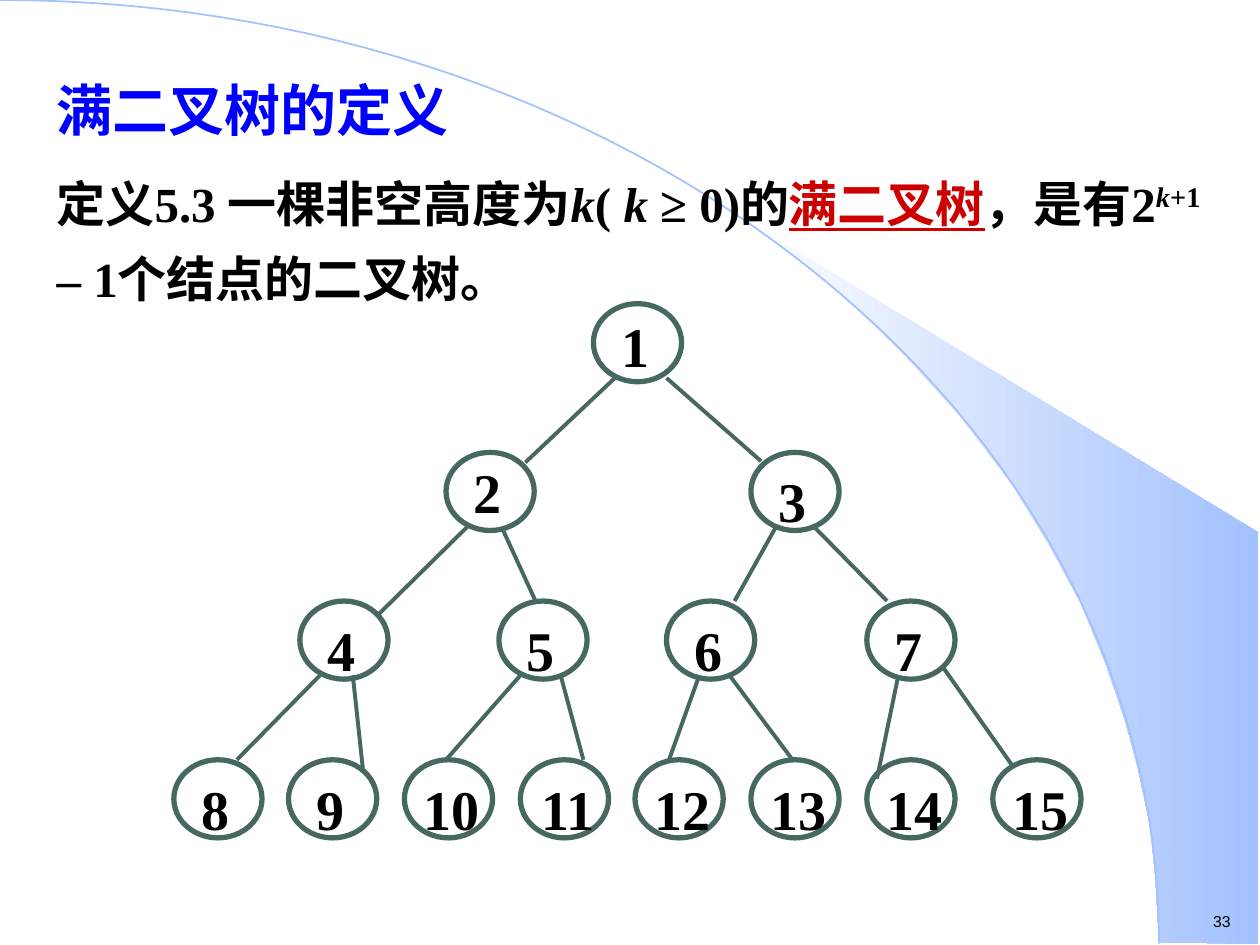
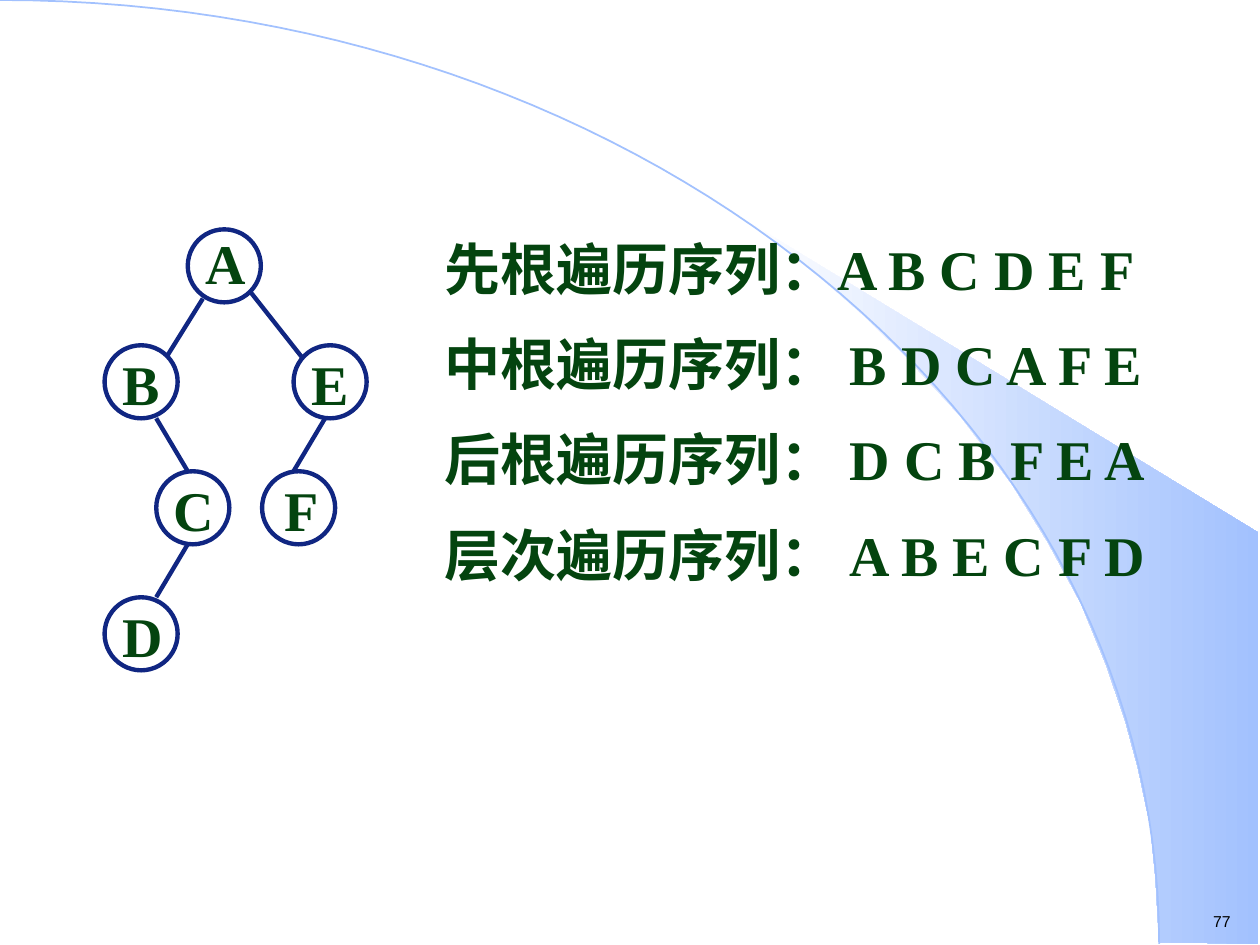
from lxml.etree import SubElement
from pptx import Presentation
from pptx.dml.color import RGBColor
from pptx.enum.shapes import MSO_CONNECTOR, MSO_SHAPE
from pptx.enum.text import MSO_ANCHOR, MSO_AUTO_SIZE, PP_ALIGN
from pptx.oxml.ns import qn
from pptx.util import Inches, Pt

WHITE = RGBColor(0xFF, 0xFF, 0xFF)
BLACK = RGBColor(0x00, 0x00, 0x00)
SKY = RGBColor(0xA2, 0xC1, 0xFE)
BLUE = RGBColor(0x00, 0x00, 0xFF)
RED = RGBColor(0xCC, 0x00, 0x00)
SLATE = RGBColor(0x46, 0x68, 0x61)
NAVY = RGBColor(0x10, 0x26, 0x82)
GREEN = RGBColor(0x04, 0x44, 0x0F)
SERIF, SANS = "Times New Roman", "Arial"

WEDGE = [(9.2, 7.48), (9.99, 7.49), (9.99, 4.23), (5.89, 1.73), (6.24, 1.99),
         (6.53, 2.22), (6.85, 2.5), (7.16, 2.8), (7.62, 3.3), (8.03, 3.84),
         (8.32, 4.31), (8.58, 4.79), (8.78, 5.28), (8.93, 5.72), (9.03, 6.09),
         (9.13, 6.56), (9.17, 6.96)]
ARC = [(0, 0), (5.08, 0), (9.2, 3.35), (9.2, 7.49)]
ARC_STEPS = 60

# Top of each level and left of each node, from the top left of the tree
FULL_TREE = [
    (0, [3.33]),
    (1.18, [2.16, 4.58]),
    (2.36, [1, 2.58, 3.91, 5.5]),
    (3.62, [0, 0.91, 1.83, 2.75, 3.66, 4.58, 5.5, 6.5]),
]
FULL_TREE_EDGES = [
    (3.5, 0.59, 2.79, 1.26), (3.91, 0.59, 4.66, 1.25),
    (2.33, 1.77, 1.61, 2.48), (2.6, 1.77, 2.87, 2.36),
    (4.78, 1.77, 4.45, 2.36), (5.08, 1.77, 5.66, 2.36),
    (1.16, 2.95, 0.5, 3.62), (1.42, 2.95, 1.5, 3.69),
    (2.75, 2.95, 2.16, 3.62), (3.07, 2.95, 3.25, 3.62),
    (4.17, 2.95, 3.93, 3.62), (4.41, 2.95, 4.91, 3.62),
    (5.75, 2.95, 5.58, 3.77), (6.1, 2.88, 6.65, 3.66),
]
LABEL_RISE = {1: 0.05, 2: 0.07}

# Node: left, top, label shift right, label shift down
LETTER_TREE = {
    "A": (0.66, 0, 0.04, -0.12), "B": (0, 0.92, 0.04, -0.08),
    "E": (1.5, 0.92, 0.04, -0.08), "C": (0.41, 1.92, 0.04, -0.08),
    "F": (1.25, 1.92, 0.08, -0.08), "D": (0, 2.92, 0.04, -0.08),
}
LETTER_TREE_EDGES = [
    (0.78, 0.55, 0.5, 1), (1.16, 0.5, 1.57, 1.02), (0.41, 1.5, 0.66, 1.92),
    (1.75, 1.5, 1.5, 1.92), (0.66, 2.5, 0.41, 2.92),
]
TRAVERSALS = [("先根遍历序列：", "A B C D E F"), ("中根遍历序列： ", "B D C A F E"),
              ("后根遍历序列： ", "D C B F E A"), ("层次遍历序列： ", "A B E C F D")]


def set_attrs(obj, values):
    for name, value in values.items():
        setattr(obj, name, value)


def add_run(p, text, size, color, **extra):
    r = p.add_run()
    r.text = text
    r.font.color.rgb = color
    set_attrs(r.font, {"size": Pt(size), "name": SERIF, "bold": True, **extra})
    return r


def add_text_box(slide, x, y, w, h, wrap=True):
    tf = slide.shapes.add_textbox(Inches(x), Inches(y), Inches(w), Inches(h)).text_frame
    tf.word_wrap = wrap
    return tf


def add_edges(slide, x, y, edges, color, width):
    for x1, y1, x2, y2 in edges:
        line = slide.shapes.add_connector(
            MSO_CONNECTOR.STRAIGHT, Inches(x + x1), Inches(y + y1), Inches(x + x2), Inches(y + y2))
        line.line.color.rgb = color
        line.line.width = Pt(width)
        SubElement(line._element.spPr, qn("a:effectLst"))


def add_node(slide, kind, x, y, w, h, color, width):
    s = slide.shapes.add_shape(kind, Inches(x), Inches(y), Inches(w), Inches(h))
    s.shadow.inherit = False
    s.fill.background()
    s.line.color.rgb = color
    s.line.width = Pt(width)


def add_label(slide, x, y, w, text, color, align):
    p = add_text_box(slide, x, y, w, 0.69).paragraphs[0]
    set_attrs(p, {"alignment": align, "line_spacing": Pt(43)})
    add_run(p, text, 32, color)


def add_outline(slide, points, close):
    builder = slide.shapes.build_freeform(
        Inches(points[0][0]), Inches(points[0][1]), scale=1.0)
    builder.add_line_segments([(Inches(x), Inches(y)) for x, y in points[1:]], close=close)
    s = builder.convert_to_shape()
    s.shadow.inherit = False
    return s


def bezier_points(controls, steps):
    weights = (1, 3, 3, 1)
    return [tuple(sum(n * (1 - t) ** (3 - i) * t ** i * c[axis]
                      for i, (n, c) in enumerate(zip(weights, controls)))
                  for axis in (0, 1))
            for t in (step / steps for step in range(steps + 1))]


def add_backdrop(slide, number):
    """Draw the shaded wedge, the arc and the page number shared by all slides."""
    wedge = add_outline(slide, WEDGE, True)
    wedge.line.fill.background()
    wedge.fill.gradient()
    wedge.fill.gradient_angle = 0
    for stop, color, position in zip(wedge.fill.gradient_stops, (WHITE, SKY), (0, 1)):
        stop.color.rgb = color
        stop.position = position

    arc = add_outline(slide, bezier_points(ARC, ARC_STEPS), False)
    arc.fill.background()
    arc.line.color.rgb = SKY
    arc.line.width = Pt(1)

    tf = add_text_box(slide, 9.53, 7.19, 0.35, 0.25, wrap=False)
    add_run(tf.paragraphs[0], str(number), 9, BLACK, name=SANS, bold=False)


def add_body_paragraph(tf, first, spacing, before):
    p = tf.paragraphs[0] if first else tf.add_paragraph()
    pPr = p._p.get_or_add_pPr()
    pPr.set("marL", "0")
    pPr.set("indent", "0")
    SubElement(pPr, qn("a:buNone"))
    set_attrs(p, {"line_spacing": Pt(spacing), "space_before": Pt(before)})
    return p


def fill_definition(body, x, y, w, h):
    set_attrs(body, {"left": Inches(x), "top": Inches(y),
                     "width": Inches(w), "height": Inches(h)})
    tf = body.text_frame
    set_attrs(tf, {"auto_size": MSO_AUTO_SIZE.NONE, "vertical_anchor": MSO_ANCHOR.TOP,
                   "word_wrap": True})
    add_run(add_body_paragraph(tf, True, 52, 0), "满二叉树的定义", 32, BLUE)

    p = add_body_paragraph(tf, False, 43, 8)
    italic = {"italic": True}
    for text, color, extra in [
            ("定义5.3 一棵非空高度为", BLACK, {}), ("k", BLACK, italic),
            ("( ", BLACK, {}), ("k ", BLACK, italic), ("≥ 0)的", BLACK, {}),
            ("满二叉树", RED, {"underline": True}), ("，是有2", BLACK, {})]:
        add_run(p, text, 28, color, **extra)
    for text, extra in [("k", italic), ("+1 ", {})]:
        r = add_run(p, text, 28, BLACK, **extra)
        r.font._element.set("baseline", "30000")
    add_run(p, "– 1个结点的二叉树。", 28, BLACK)


def add_full_tree(slide, x, y):
    number = 0
    for top, lefts in FULL_TREE:
        for left in lefts:
            number += 1
            add_node(slide, MSO_SHAPE.FLOWCHART_CONNECTOR, x + left, y + top,
                     0.7, 0.62, SLATE, 3)
            shift, width = (0.08, 0.5) if number < 10 else (0, 0.75)
            add_label(slide, x + left + shift, y + top - LABEL_RISE.get(number, 0),
                      width, str(number), BLACK, PP_ALIGN.CENTER)
    add_edges(slide, x, y, FULL_TREE_EDGES, SLATE, 2.25)


def add_letter_tree(slide, x, y):
    for letter, (left, top, dx, dy) in LETTER_TREE.items():
        add_node(slide, MSO_SHAPE.OVAL, x + left, y + top, 0.58, 0.58, NAVY, 2.5)
        add_label(slide, x + left + dx, y + top + dy, 0.58, letter, GREEN, PP_ALIGN.LEFT)
    add_edges(slide, x, y, LETTER_TREE_EDGES, NAVY, 2.5)


def add_traversals(slide, x, y, w, h):
    tf = add_text_box(slide, x, y, w, h)
    for i, (name, order) in enumerate(TRAVERSALS):
        p = tf.add_paragraph() if i else tf.paragraphs[0]
        set_attrs(p, {"line_spacing": Pt(40.5), "space_before": Pt(14 if i else 0)})
        add_run(p, name, 32, GREEN)
        add_run(p, order, 32, GREEN)


def build_definition_slide(prs):
    slide = prs.slides.add_slide(prs.slide_layouts[1])
    title, body = slide.placeholders
    title._element.getparent().remove(title._element)
    add_backdrop(slide, 33)
    slide.shapes._spTree.append(body._element)  # text in front of the backdrop
    fill_definition(body, 0.35, 0.36, 9.29, 2.12)
    add_full_tree(slide, 1.38, 2.41)


def build_traversal_slide(prs):
    slide = prs.slides.add_slide(prs.slide_layouts[6])
    add_backdrop(slide, 77)
    add_letter_tree(slide, 0.83, 1.82)
    add_traversals(slide, 3.43, 1.78, 6.17, 3.03)


def main():
    prs = Presentation()
    prs.slide_width, prs.slide_height = Inches(10), Inches(7.5)
    build_definition_slide(prs)
    build_traversal_slide(prs)
    prs.save("out.pptx")


if __name__ == "__main__":
    main()
